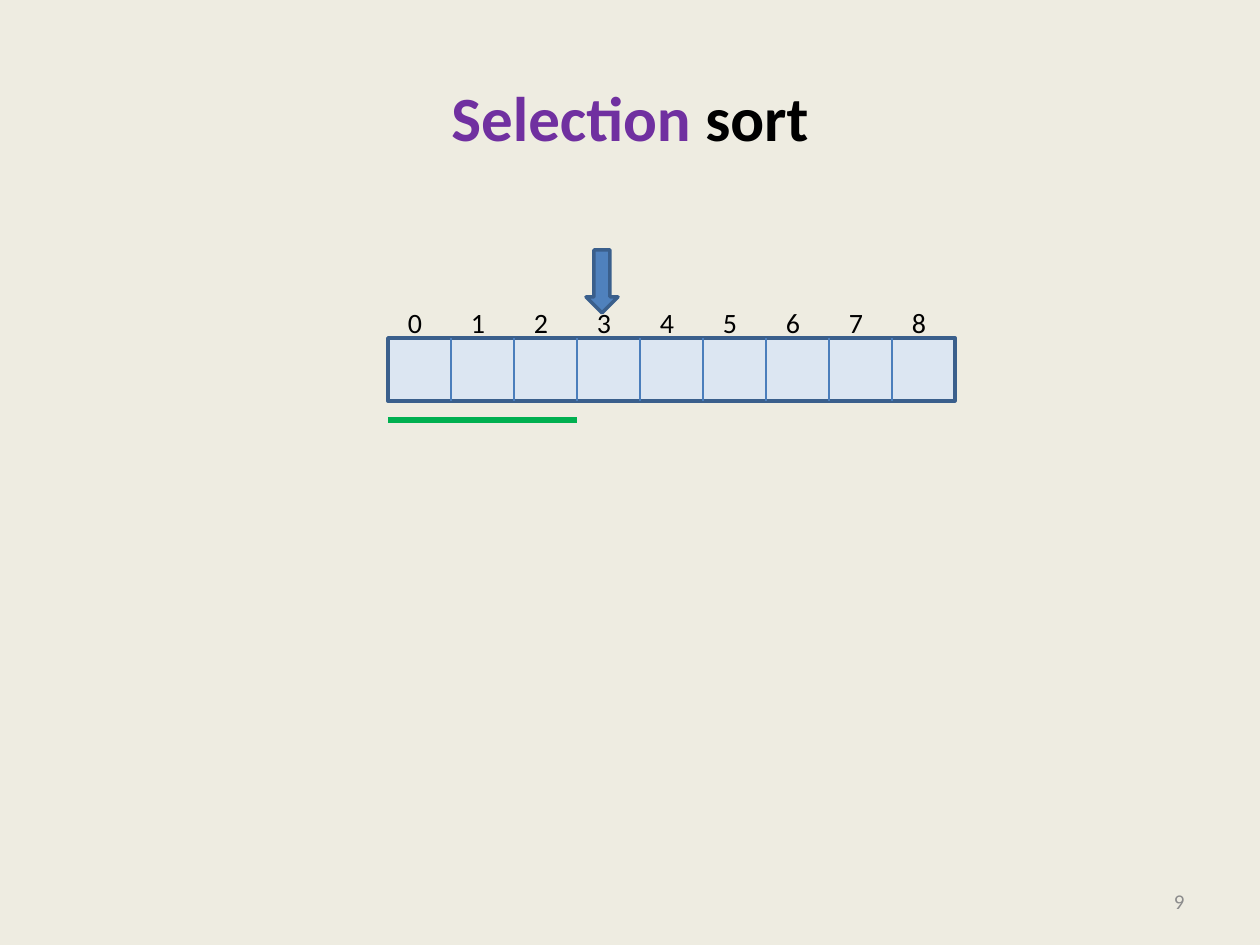
from lxml import etree
from pptx import Presentation
from pptx.dml.color import RGBColor
from pptx.enum.shapes import MSO_CONNECTOR as Line, MSO_SHAPE as Shape
from pptx.enum.text import MSO_ANCHOR as Anchor, PP_ALIGN as Align
from pptx.oxml.ns import qn
from pptx.util import Pt

EMU_PER_PX = 914400 / 126
COLORS = {
    "background": "EEECE1", "text": "000000", "accent": "7030A0",
    "number": "8C8C8C", "cell": "DCE6F2", "outline": "3A5F8C",
    "divider": "4B7EBC", "pointer": "4F81BD", "sorted": "00B050",
}
CELL = 63
CELL_COUNT = 9
SORTED_COUNT = 3


def px(value):
    return round(value * EMU_PER_PX)


def color(name):
    return RGBColor.from_string(COLORS[name])


def add_text(shapes, left, top, width, height, spans, size,
             align=Align.LEFT, anchor=Anchor.MIDDLE, bold=False):
    """Add a one-paragraph text box; spans are (text, colour name) pairs."""
    box = shapes.add_textbox(px(left), px(top), px(width), px(height))
    frame = box.text_frame
    frame.word_wrap = True
    frame.vertical_anchor = anchor
    para = frame.paragraphs[0]
    para.alignment = align
    for text, name in spans:
        span = para.add_run()
        span.text = text
        span.font.color.rgb = color(name)
    para.font.name = "Calibri"
    para.font.size = Pt(size)
    para.font.bold = bold
    return box


def add_block(shapes, kind, left, top, width, height, fill):
    block = shapes.add_shape(kind, px(left), px(top), px(width), px(height))
    block.shadow.inherit = False
    block.fill.solid()
    block.fill.fore_color.rgb = color(fill)
    block.line.color.rgb = color("outline")
    block.line.width = Pt(2)


def add_line(shapes, x1, y1, x2, y2, name, weight):
    line = shapes.add_connector(Line.STRAIGHT, px(x1), px(y1), px(x2), px(y2))
    line.line.color.rgb = color(name)
    line.line.width = Pt(weight)
    etree.SubElement(line._element.spPr, qn("a:effectLst"))


def add_indices(shapes, left, top, width, height):
    """Label the cells, one tab stop per cell."""
    labels = "\t".join(str(index) for index in range(CELL_COUNT))
    box = add_text(shapes, left, top, width, height, [(labels, "text")], 16,
                   anchor=Anchor.TOP)
    box.text_frame.margin_left = px(20)
    properties = box.text_frame.paragraphs[0]._p.get_or_add_pPr()
    tabs = etree.Element(qn("a:tabLst"))
    for index in range(1, CELL_COUNT):
        etree.SubElement(tabs, qn("a:tab"), pos=str(px(index * CELL)), algn="l")
    properties.insert(0, tabs)


def add_array(page, left, top):
    width = CELL * CELL_COUNT

    # Cells and their indices
    array = page.shapes.add_group_shape().shapes
    add_block(array, Shape.RECTANGLE, left, top, width, CELL, "cell")
    for index in range(1, CELL_COUNT):
        x = left + index * CELL
        add_line(array, x, top, x, top + CELL, "divider", 0.75)
    add_indices(array, left, top - 39, width, 50)

    # Pointer to the current cell
    add_block(page.shapes, Shape.DOWN_ARROW, left + 198, top - 88, 32, 63,
              "pointer")

    # Underline of the sorted part
    for index in range(SORTED_COUNT):
        x = left + index * CELL
        add_line(page.shapes, x, top + 82, x + CELL, top + 82, "sorted", 3)


def main():
    deck = Presentation()
    deck.slide_width, deck.slide_height = px(1260), px(945)
    page = deck.slides.add_slide(deck.slide_layouts[6])
    page.background.fill.solid()
    page.background.fill.fore_color.rgb = color("background")

    # Title
    add_text(page.shapes, 63, 38, 1134, 157,
             [("Selection", "accent"), (" sort", "text")], 36,
             align=Align.CENTER, bold=True)

    add_array(page, 388, 338)

    # Page number
    add_text(page.shapes, 903, 876, 294, 50, [("9", "number")], 12,
             align=Align.RIGHT)
    deck.save("out.pptx")


if __name__ == "__main__":
    main()
